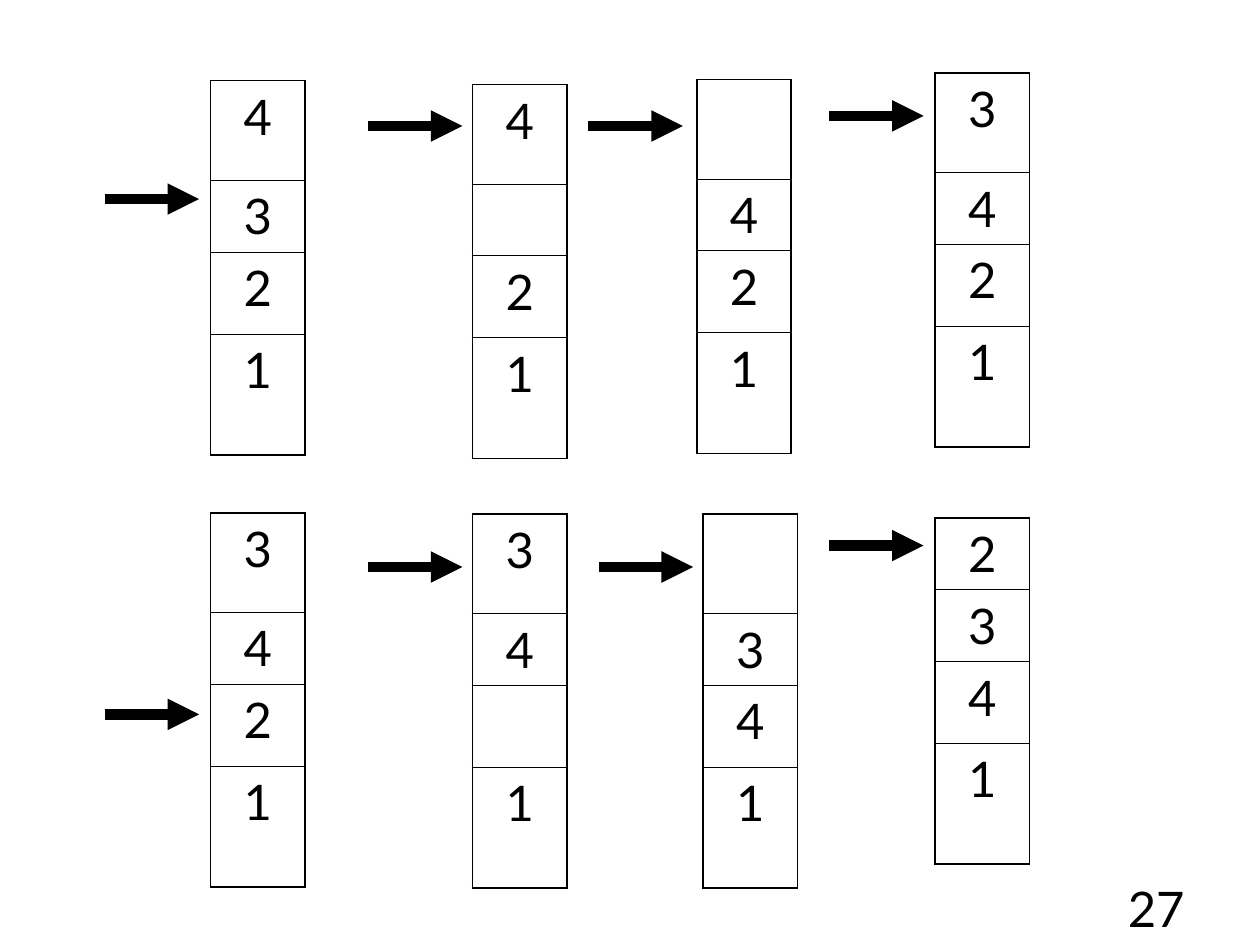
from lxml import etree
from pptx import Presentation
from pptx.dml.color import RGBColor
from pptx.enum import shapes, text
from pptx.oxml import ns
from pptx.util import Inches, Pt

BLACK = RGBColor(0, 0, 0)
FONT = "Lato"
THICK, THIN = 1.08, 0.45
WIDTH = 0.75
ROWS = (0.79, 0.57, 0.65, 0.96)
SHORT = (0.57, 0.57, 0.65, 0.96)
STACKS = (
    (1.67, 0.64, "4321", ROWS, 0.83, 1.58),
    (3.75, 0.67, "4 21", ROWS, 2.92, 1),
    (5.53, 0.63, " 421", ROWS, 4.67, 1),
    (7.42, 0.58, "3421", ROWS, 6.58, 0.92),
    (1.67, 4.07, "3421", ROWS, 0.83, 5.67),
    (3.75, 4.08, "34 1", ROWS, 2.92, 4.5),
    (5.58, 4.08, " 341", ROWS, 4.75, 4.5),
    (7.42, 4.11, "2341", SHORT, 6.58, 4.33),
)


def style(para, align):
    para.alignment = align
    for run in para.runs:
        run.font.name = FONT
        run.font.size = Pt(28)
        run.font.color.rgb = BLACK


def border(cell, first, last):
    props = cell._tc.get_or_add_tcPr()
    sides = {"L": THICK, "R": THICK,
             "T": THICK if first else THIN,
             "B": THICK if last else THIN}
    for spot, (side, width) in enumerate(sides.items()):
        line = etree.Element(ns.qn(f"a:ln{side}"), w=str(Pt(width)))
        fill = etree.SubElement(line, ns.qn("a:solidFill"))
        etree.SubElement(fill, ns.qn("a:srgbClr"), val=str(BLACK))
        props.insert(spot, line)


def stack(slide, left, top, digits, rows):
    frame = slide.shapes.add_table(
        len(rows), 1, Inches(left), Inches(top), Inches(WIDTH), Inches(sum(rows)))
    table = frame.table
    table.first_row = table.horz_banding = False
    table.columns[0].width = Inches(WIDTH)
    for i, (digit, height) in enumerate(zip(digits, rows)):
        table.rows[i].height = Inches(height)
        cell = table.cell(i, 0)
        cell.fill.background()
        cell.margin_left = cell.margin_right = Inches(0.1)
        cell.margin_top = cell.margin_bottom = Inches(0.05)
        border(cell, i == 0, i == len(rows) - 1)
        if digit.strip():
            cell.text_frame.text = digit
            para = cell.text_frame.paragraphs[0]
            para.space_before = Pt(7)
            style(para, text.PP_ALIGN.CENTER)


def arrow(slide, left, top):
    line = slide.shapes.add_connector(
        shapes.MSO_CONNECTOR.STRAIGHT,
        Inches(left), Inches(top), Inches(left + WIDTH), Inches(top))
    line.line.color.rgb = BLACK
    line.line.width = Pt(6)
    etree.SubElement(line.line._get_or_add_ln(), ns.qn("a:tailEnd"), type="triangle")
    etree.SubElement(line._element.spPr, ns.qn("a:effectLst"))


def number(slide, left, top, width, height):
    box = slide.shapes.add_textbox(
        Inches(left), Inches(top), Inches(width), Inches(height))
    box.text_frame.word_wrap = True
    box.text_frame.text = "27"
    style(box.text_frame.paragraphs[0], text.PP_ALIGN.RIGHT)


def main():
    deck = Presentation()
    deck.slide_width, deck.slide_height = Inches(10), Inches(7.5)
    slide = deck.slides.add_slide(deck.slide_layouts[6])
    number(slide, 7.17, 6.92, 2.33, 0.52)
    for left, top, digits, rows, start, level in STACKS:
        stack(slide, left, top, digits, rows)
        arrow(slide, start, level)
    deck.save("out.pptx")


if __name__ == "__main__":
    main()
